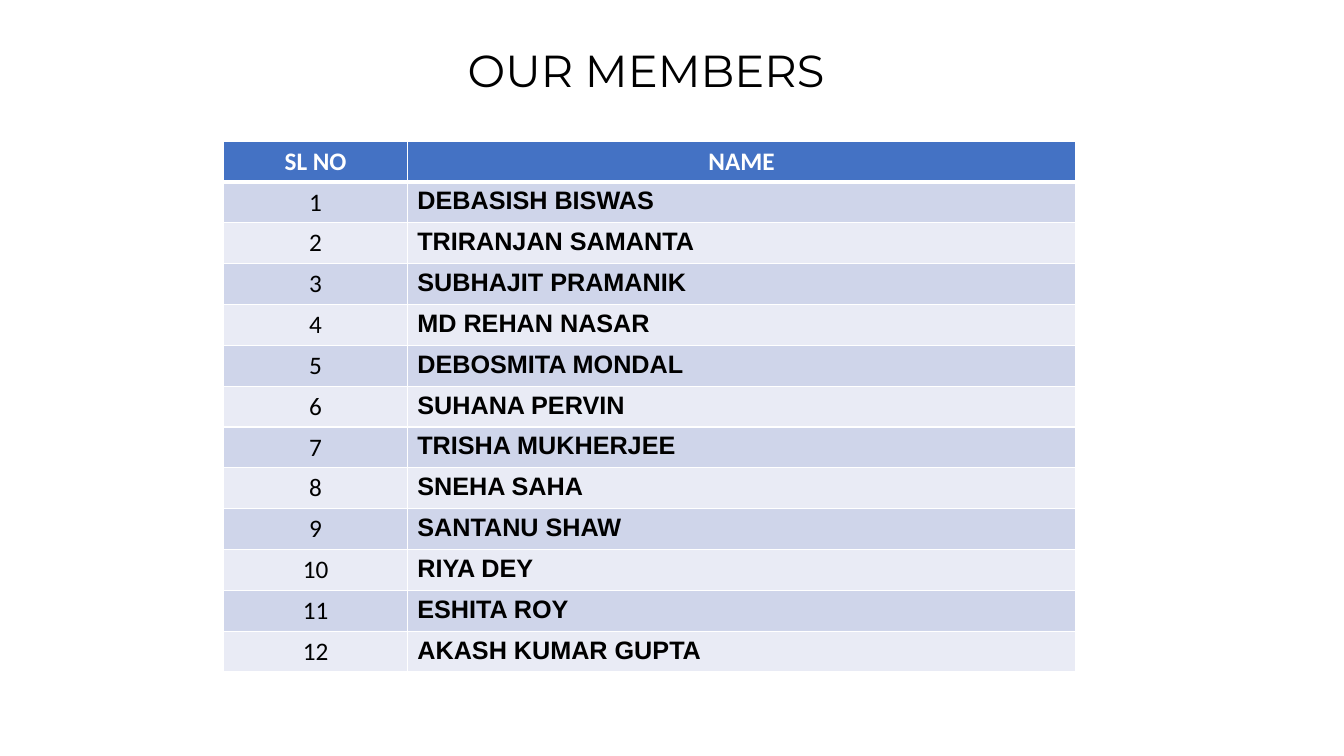
import dataclasses

import lxml.etree
import pptx
import pptx.dml.color
import pptx.enum.text
import pptx.oxml.ns
import pptx.util

Inches = pptx.util.Inches
Pt = pptx.util.Pt
ALIGN = pptx.enum.text.PP_ALIGN


@dataclasses.dataclass(frozen=True)
class Theme:
    ink: str = "000000"
    white: str = "FFFFFF"
    header: str = "4472C4"
    bands: tuple = ("CFD5EA", "E9EBF5")
    title_font: str = "Montserrat"
    body_font: str = "Calibri"
    name_font: str = "Arial"
    title_size: int = 32
    table_size: int = 18
    rule: int = 1
    header_rule: int = 3


THEME = Theme()

MEMBERS = [
    "DEBASISH BISWAS", "TRIRANJAN SAMANTA", "SUBHAJIT PRAMANIK",
    "MD REHAN NASAR", "DEBOSMITA MONDAL", "SUHANA PERVIN",
    "TRISHA MUKHERJEE", "SNEHA SAHA", "SANTANU SHAW",
    "RIYA DEY", "ESHITA ROY", "AKASH KUMAR GUPTA",
]


def colour(code):
    return pptx.dml.color.RGBColor.from_string(code)


def write(frame, text, font, size, ink, bold=False, align=ALIGN.LEFT):
    para = frame.paragraphs[0]
    para.alignment = align
    span = para.add_run()
    span.text = text
    span.font.name = font
    span.font.size = Pt(size)
    span.font.bold = bold
    span.font.color.rgb = colour(ink)


def set_borders(cell, bottom):
    """Rule all four sides; lines must precede the fill in the cell XML."""
    properties = cell._tc.get_or_add_tcPr()
    qn = pptx.oxml.ns.qn
    widths = {"a:lnL": THEME.rule, "a:lnR": THEME.rule,
              "a:lnT": THEME.rule, "a:lnB": bottom}
    for tag, width in widths.items():
        line = lxml.etree.SubElement(properties, qn(tag), w=str(Pt(width)))
        fill = lxml.etree.SubElement(line, qn("a:solidFill"))
        lxml.etree.SubElement(fill, qn("a:srgbClr"), val=THEME.white)


def style_cell(cell, fill, bottom):
    set_borders(cell, bottom)
    cell.fill.solid()
    cell.fill.fore_color.rgb = colour(fill)


def add_title(page, left, top, width, height):
    box = page.shapes.add_textbox(left, top, width, height)
    box.text_frame.word_wrap = True
    write(box.text_frame, "OUR MEMBERS", THEME.title_font, THEME.title_size, THEME.ink)


def add_members(page, left, top, width, height):
    row_count = len(MEMBERS) + 1
    table = page.shapes.add_table(row_count, 2, left, top, width, height).table
    number_width = Inches(1.82)
    table.columns[0].width = number_width
    table.columns[1].width = width - number_width
    for row in table.rows:
        row.height = height // row_count

    # Header row
    for column, label in enumerate(("SL NO", "NAME")):
        cell = table.cell(0, column)
        style_cell(cell, THEME.header, THEME.header_rule)
        write(cell.text_frame, label, THEME.body_font, THEME.table_size,
              THEME.white, bold=True, align=ALIGN.CENTER)

    # One banded row per member
    for number, name in enumerate(MEMBERS, start=1):
        number_cell, name_cell = table.cell(number, 0), table.cell(number, 1)
        for cell in (number_cell, name_cell):
            style_cell(cell, THEME.bands[(number - 1) % 2], THEME.rule)
        write(number_cell.text_frame, str(number), THEME.body_font,
              THEME.table_size, THEME.ink, align=ALIGN.CENTER)
        write(name_cell.text_frame, name, THEME.name_font,
              THEME.table_size, THEME.ink, bold=True)


def main():
    deck = pptx.Presentation()
    deck.slide_width = Inches(13.33)
    deck.slide_height = Inches(7.5)
    page = deck.slides.add_slide(deck.slide_layouts[6])
    add_title(page, Inches(4.54), Inches(0.37), Inches(4.25), Inches(0.64))
    add_members(page, Inches(2.22), Inches(1.4), Inches(8.45), Inches(5.27))
    deck.save("out.pptx")


if __name__ == "__main__":
    main()
